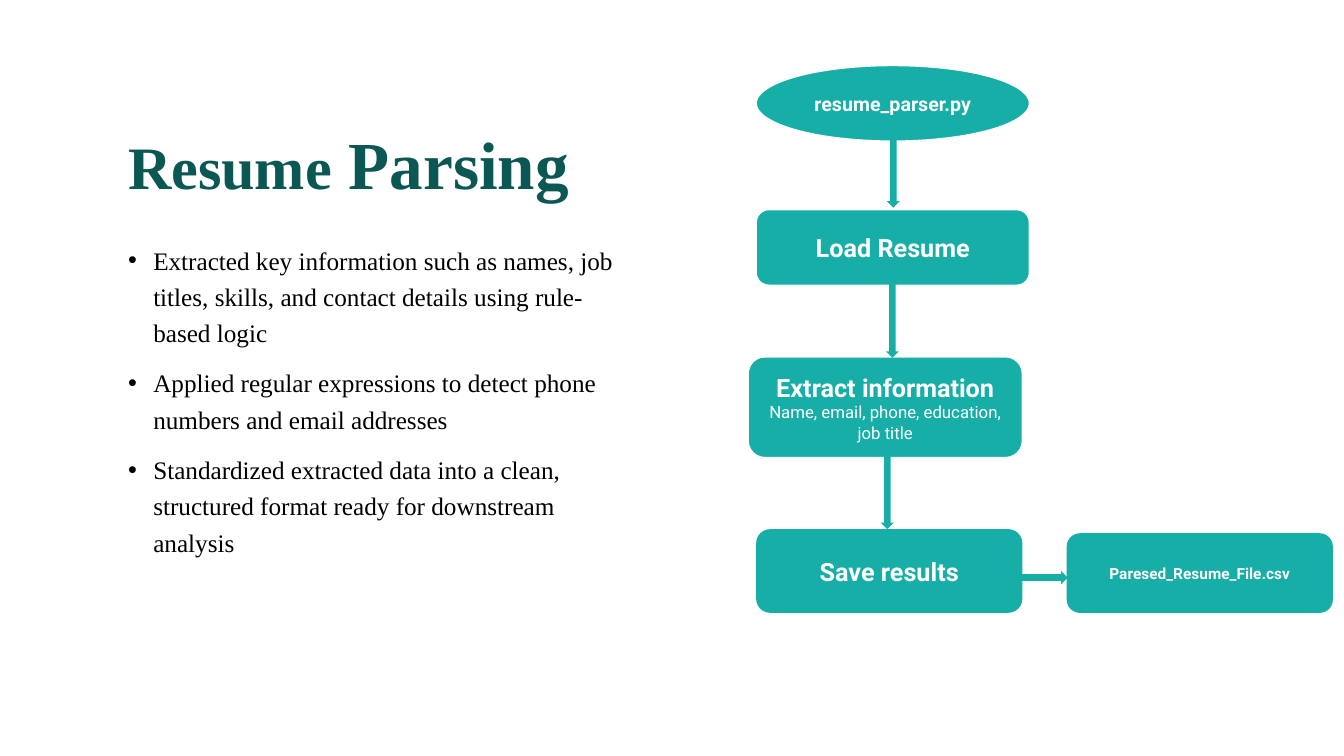
from dataclasses import dataclass

from lxml.etree import SubElement
from pptx import Presentation
from pptx.dml.color import RGBColor
from pptx.enum.shapes import MSO_SHAPE as Shape
from pptx.enum.text import MSO_ANCHOR as Anchor, MSO_AUTO_SIZE as AutoSize, PP_ALIGN as Align
from pptx.oxml.ns import qn
from pptx.util import Inches, Pt


@dataclass(frozen=True)
class Theme:
    teal: RGBColor = RGBColor.from_string("16AEA7")
    dark: RGBColor = RGBColor.from_string("0B5754")
    black: RGBColor = RGBColor(0, 0, 0)
    white: RGBColor = RGBColor(255, 255, 255)
    serif: str = "Times New Roman"
    sans: str = "Roboto"
    title: int = 43
    title_large: int = 48
    body: int = 18
    file: int = 14
    detail: int = 12
    output: int = 11


THEME = Theme()


def add_text(para, text, size, color=THEME.white, font=THEME.sans, bold=False):
    span = para.add_run()
    span.text = text
    span.font.size = Pt(size)
    span.font.name = font
    span.font.bold = bold
    span.font.color.rgb = color


def place(item, left, top, width, height):
    item.left, item.top = Inches(left), Inches(top)
    item.width, item.height = Inches(width), Inches(height)


def add_bullet(para):
    props = para._p.get_or_add_pPr()
    props.set("marL", str(Inches(0.25)))
    props.set("indent", str(-Inches(0.25)))
    SubElement(props, qn("a:buFont"), typeface="Arial")
    SubElement(props, qn("a:buChar"), char="•")


def fill_title(page, left, top, width, height):
    title = page.shapes.title
    place(title, left, top, width, height)
    frame = title.text_frame
    frame.auto_size = AutoSize.NONE
    frame.vertical_anchor = Anchor.BOTTOM
    para = frame.paragraphs[0]
    para.alignment = Align.LEFT
    para.line_spacing = 1.2
    para.space_before = Pt(0)
    for text, size in (("Resume", THEME.title), ("\u00a0Parsing", THEME.title_large)):
        add_text(para, text, size, color=THEME.dark, font=THEME.serif, bold=True)


def fill_body(page, left, top, width, height):
    points = (
        "Extracted key information such as names, job titles, skills, and contact details using rule-based logic",
        "Applied regular expressions to detect phone numbers and email addresses",
        "Standardized extracted data into a clean, structured format ready for downstream analysis",
    )
    body = page.placeholders[1]
    place(body, left, top, width, height)
    frame = body.text_frame
    frame.auto_size = AutoSize.NONE
    frame.vertical_anchor = Anchor.TOP
    for index, point in enumerate(points):
        para = frame.add_paragraph() if index else frame.paragraphs[0]
        add_bullet(para)
        para.alignment = Align.LEFT
        para.line_spacing = 1.2
        para.space_before = Pt(10 if index else 0)
        add_text(para, point, THEME.body, color=THEME.black, font=THEME.serif)


def add_teal_shape(page, kind, left, top, width, height):
    shape = page.shapes.add_shape(kind, Inches(left), Inches(top), Inches(width), Inches(height))
    shape.shadow.inherit = False
    shape.fill.solid()
    shape.fill.fore_color.rgb = THEME.teal
    shape.line.fill.background()
    return shape


def add_step(page, kind, box, lines, outlined):
    step = add_teal_shape(page, kind, *box)
    if outlined:
        step.line.color.rgb = THEME.white
        step.line.width = Pt(1)
    frame = step.text_frame
    frame.word_wrap = True
    frame.vertical_anchor = Anchor.MIDDLE
    for index, (text, size, bold) in enumerate(lines):
        para = frame.add_paragraph() if index else frame.paragraphs[0]
        para.alignment = Align.CENTER
        add_text(para, text, size, bold=bold)


def add_arrow(page, center_x, center_y, rotation=0):
    length, thickness = 0.74, 0.13
    arrow = add_teal_shape(page, Shape.RIGHT_ARROW, center_x - length / 2,
                           center_y - thickness / 2, length, thickness)
    arrow.rotation = rotation


def draw_flow(page, left, top):
    rounded = Shape.ROUNDED_RECTANGLE
    steps = (
        (Shape.OVAL, (0.08, 0, 2.71, 0.75), [("resume_parser.py", THEME.file, True)], True),
        (rounded, (0.08, 1.43, 2.71, 0.75), [("Load Resume", THEME.body, True)], True),
        (rounded, (0, 2.89, 2.72, 1), [
            ("Extract information", THEME.body, True),
            ("Name, email, phone, education, job title", THEME.detail, False),
        ], True),
        (rounded, (0.08, 4.6, 2.64, 0.83), [("Save results", THEME.body, True)], False),
        (rounded, (3.16, 4.64, 2.64, 0.79), [("Paresed_Resume_File.csv", THEME.output, True)], False),
    )
    for kind, (x, y, width, height), lines, outlined in steps:
        add_step(page, kind, (left + x, top + y, width, height), lines, outlined)
    for x, y, rotation in ((1.44, 1.04, 90), (1.43, 2.53, 90), (1.38, 4.23, 90), (2.8, 5.08, 0)):
        add_arrow(page, left + x, top + y, rotation)


def build_resume_parsing(deck):
    page = deck.slides.add_slide(deck.slide_layouts[1])
    page.background.fill.solid()
    page.background.fill.fore_color.rgb = THEME.white
    fill_title(page, 1.17, 1.02, 4.62, 1.04)
    fill_body(page, 1.17, 2.32, 5.26, 4.11)
    draw_flow(page, 7.42, 0.65)


def main():
    deck = Presentation()
    deck.slide_width, deck.slide_height = Inches(13.33), Inches(7.5)
    build_resume_parsing(deck)
    deck.save("out.pptx")


if __name__ == "__main__":
    main()
